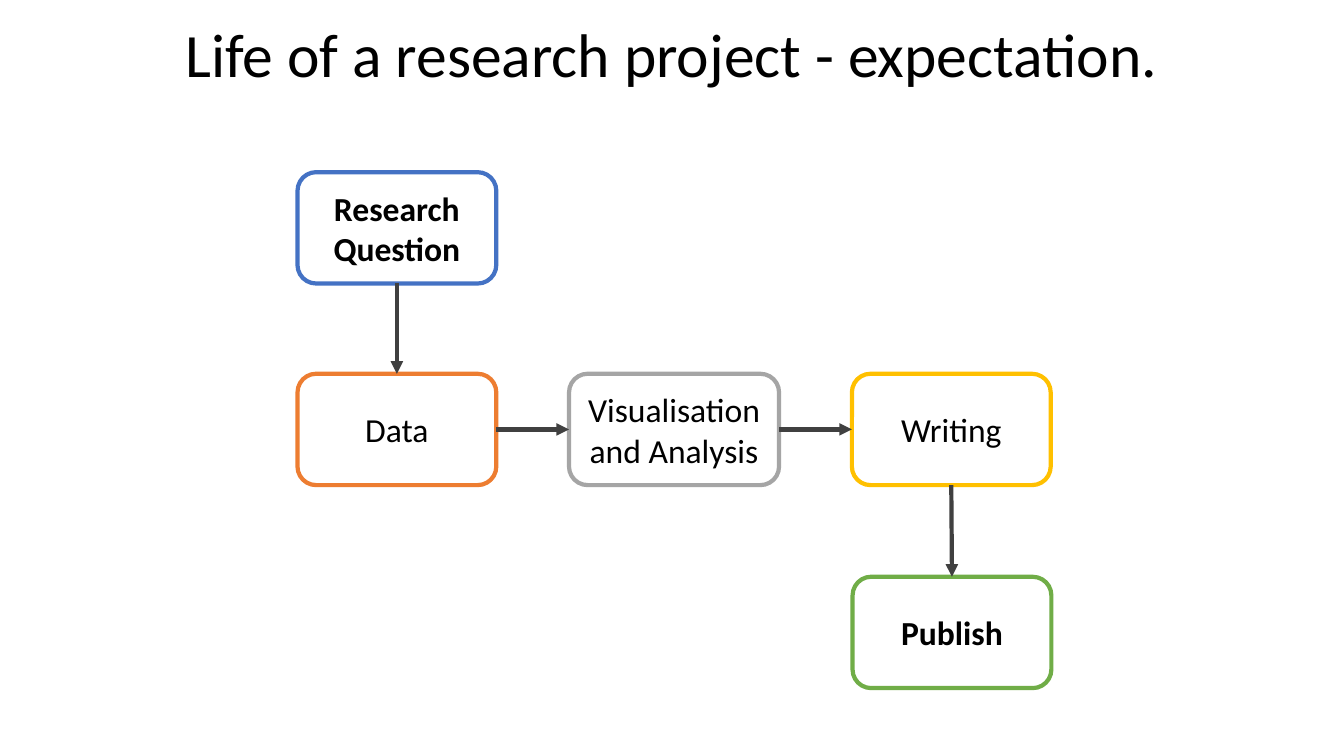
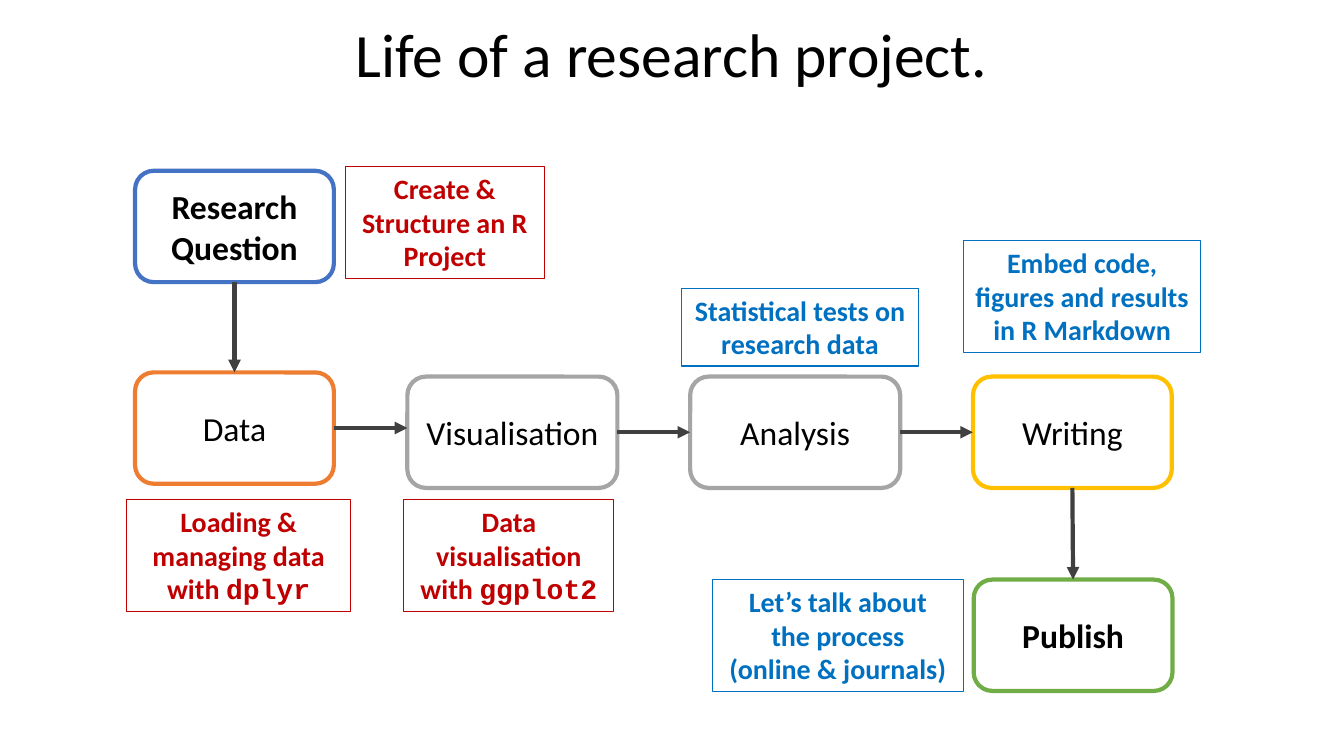
"""Build two flow charts of a research project: the expected and the real one."""
from dataclasses import dataclass
from itertools import pairwise

import lxml.etree
import pptx
import pptx.dml.color
import pptx.enum.shapes
import pptx.enum.text
import pptx.oxml.ns
import pptx.presentation
import pptx.shapes.autoshape
import pptx.slide
import pptx.text.text
import pptx.util

Pt = pptx.util.Pt
RGB = pptx.dml.color.RGBColor.from_string


@dataclass(frozen=True)
class Theme:
    font: str = "Calibri"
    mono: str = "Courier New"
    head: int = 44
    body: int = 24
    small: int = 20
    ink: str = "000000"
    paper: str = "FFFFFF"
    arrow: str = "404040"
    blue: str = "4472C4"
    orange: str = "ED7D31"
    grey: str = "A5A5A5"
    gold: str = "FFC000"
    green: str = "70AD47"
    red: str = "C00000"
    azure: str = "0070C0"
    thick: float = 3
    thin: float = 0.75


@dataclass(frozen=True)
class Step:
    text: str
    left: float
    top: float
    hue: str
    width: float = 142
    bold: bool = False


@dataclass(frozen=True)
class Note:
    text: str
    left: float
    top: float
    width: float
    height: float
    hue: str
    code: str = ""


@dataclass(frozen=True)
class Page:
    title: str
    steps: tuple[Step, ...]
    notes: tuple[Note, ...] = ()


LOOK = Theme()
TALL = 79.5
WIDE = 150

PAGES = (
    Page(
        "Life of a research project - expectation.",
        (
            Step("Research Question", 212.5, 123, LOOK.blue, bold=True),
            Step("Data", 212.5, 267, LOOK.orange),
            Step("Visualisation and Analysis", 406.5, 267, LOOK.grey, WIDE),
            Step("Writing", 608.5, 267, LOOK.gold),
            Step("Publish", 609, 412, LOOK.green, bold=True),
        ),
    ),
    Page(
        "Life of a research project.",
        (
            Step("Research Question", 96.5, 122, LOOK.blue, bold=True),
            Step("Data", 96.5, 266, LOOK.orange),
            Step("Visualisation", 291, 269, LOOK.grey, WIDE),
            Step("Analysis", 493, 269, LOOK.grey, WIDE),
            Step("Writing", 695, 269, LOOK.gold),
            Step("Publish", 695.5, 414, LOOK.green, bold=True),
        ),
        (
            Note("Create & Structure an R Project", 246.5, 119, 142.5, 80, LOOK.red),
            Note("Loading & managing data\nwith ", 90.5, 357, 160, 80, LOOK.red, "dplyr"),
            Note("Data visualisation with ", 288.5, 357, 150, 80, LOOK.red, "ggplot2"),
            Note("Statistical tests on research data", 487, 206, 169, 55.5, LOOK.azure),
            Note("Embed code, figures and results in R Markdown",
                 688.5, 172, 169, 80, LOOK.azure),
            Note("Let’s talk about\vthe process\v(online & journals)",
                 509, 414, 179, 80, LOOK.azure),
        ),
    ),
)


def style(para: pptx.text.text._Paragraph, size: float, hue: str, bold: bool = False) -> None:
    para.alignment = pptx.enum.text.PP_ALIGN.CENTER
    para.font.name = LOOK.font
    para.font.size = Pt(size)
    para.font.bold = bold
    para.font.color.rgb = RGB(hue)


def draw_title(slide: pptx.slide.Slide, text: str) -> None:
    frame = slide.shapes.add_textbox(Pt(66), Pt(-11), Pt(828), Pt(104.5)).text_frame
    frame.word_wrap = True
    frame.vertical_anchor = pptx.enum.text.MSO_ANCHOR.MIDDLE
    frame.text = text
    para = frame.paragraphs[0]
    para.line_spacing = 0.9
    style(para, LOOK.head, LOOK.ink)


def draw_step(slide: pptx.slide.Slide, step: Step) -> pptx.shapes.autoshape.Shape:
    kind = pptx.enum.shapes.MSO_SHAPE.ROUNDED_RECTANGLE
    box = slide.shapes.add_shape(
        kind, Pt(step.left), Pt(step.top), Pt(step.width), Pt(TALL))
    box.shadow.inherit = False
    box.fill.solid()
    box.fill.fore_color.rgb = RGB(LOOK.paper)
    box.line.color.rgb = RGB(step.hue)
    box.line.width = Pt(LOOK.thick)
    frame = box.text_frame
    frame.word_wrap = True
    frame.vertical_anchor = pptx.enum.text.MSO_ANCHOR.MIDDLE
    frame.text = step.text
    style(frame.paragraphs[0], LOOK.body, LOOK.ink, step.bold)
    return box


def draw_note(slide: pptx.slide.Slide, note: Note) -> None:
    box = slide.shapes.add_textbox(
        Pt(note.left), Pt(note.top), Pt(note.width), Pt(note.height))
    box.line.color.rgb = RGB(note.hue)
    box.line.width = Pt(LOOK.thin)
    frame = box.text_frame
    frame.word_wrap = True
    frame.auto_size = pptx.enum.text.MSO_AUTO_SIZE.SHAPE_TO_FIT_TEXT
    frame.text = note.text
    for para in frame.paragraphs:
        style(para, LOOK.small, note.hue, True)
    if note.code:
        run = frame.paragraphs[-1].add_run()
        run.text = note.code
        run.font.name = LOOK.mono


def draw_link(slide: pptx.slide.Slide, start: pptx.shapes.autoshape.Shape,
              end: pptx.shapes.autoshape.Shape) -> None:
    down = end.top >= start.top + start.height
    kind = pptx.enum.shapes.MSO_CONNECTOR.STRAIGHT
    level = start.top + start.height // 2
    link = slide.shapes.add_connector(
        kind, start.left + start.width, level, end.left, level)
    link.begin_connect(start, 2 if down else 3)
    if down or start.top == end.top:
        link.end_connect(end, 0 if down else 1)
    link.line.color.rgb = RGB(LOOK.arrow)
    link.line.width = Pt(LOOK.thick)
    qn = pptx.oxml.ns.qn
    lxml.etree.SubElement(link.get_or_add_ln(), qn("a:tailEnd"), type="triangle")
    lxml.etree.SubElement(link._element.spPr, qn("a:effectLst"))


def draw_page(deck: pptx.presentation.Presentation, page: Page) -> None:
    slide = deck.slides.add_slide(deck.slide_layouts[6])
    draw_title(slide, page.title)
    boxes = [draw_step(slide, step) for step in page.steps]
    for start, end in pairwise(boxes):
        draw_link(slide, start, end)
    for note in page.notes:
        draw_note(slide, note)


def main() -> None:
    deck = pptx.Presentation()
    deck.slide_width, deck.slide_height = Pt(960), Pt(540)
    for page in PAGES:
        draw_page(deck, page)
    deck.save("out.pptx")


if __name__ == "__main__":
    main()
